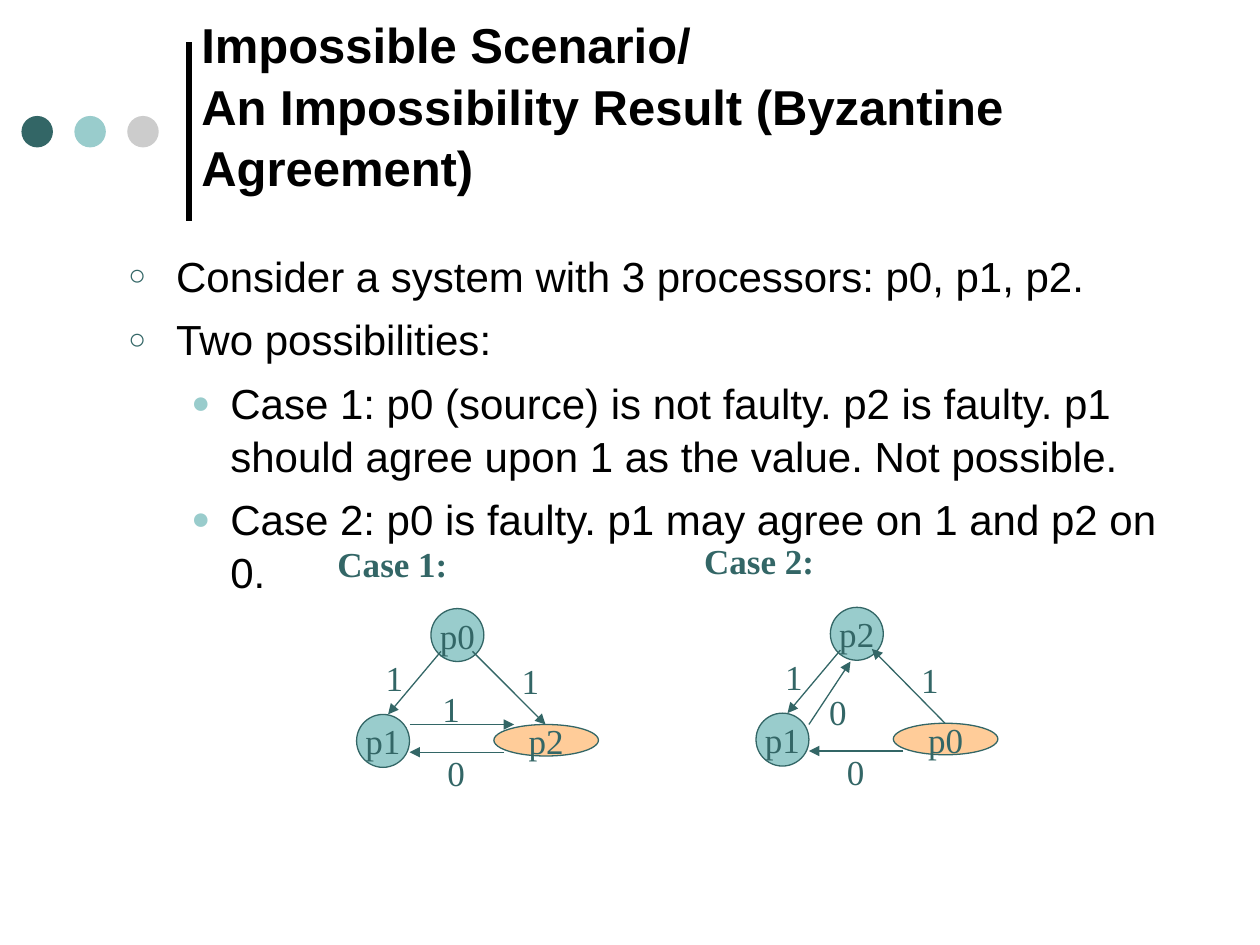
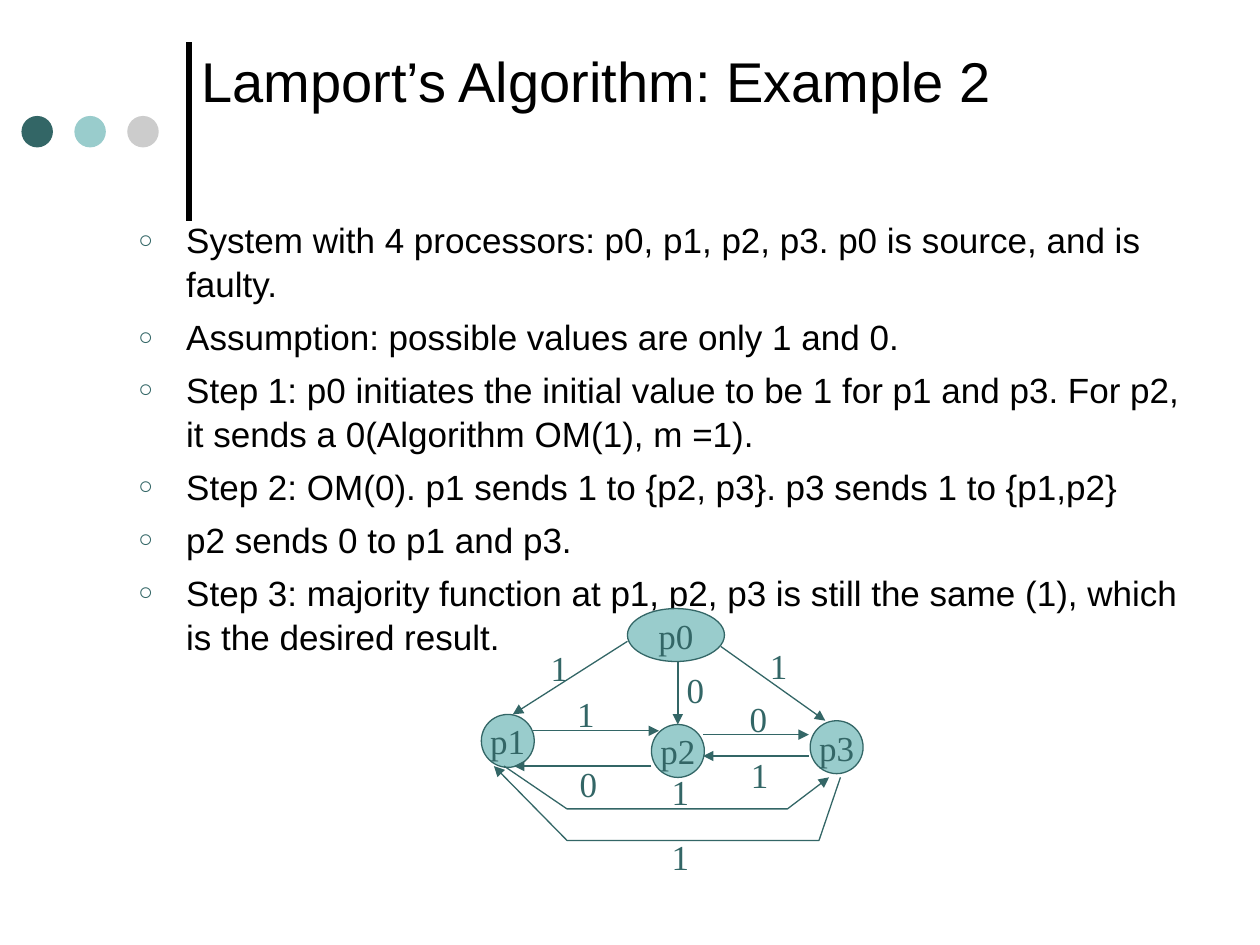
"""Build two slides on Byzantine agreement with message diagrams."""
from lxml import etree
from pptx import Presentation
from pptx import util as u
from pptx.dml.color import RGBColor
from pptx.enum import shapes, text
from pptx.oxml import ns

DARK_TEAL = RGBColor(0x33, 0x66, 0x66)
LIGHT_TEAL = RGBColor(0x99, 0xCC, 0xCC)
GRAY = RGBColor(0xCC, 0xCC, 0xCC)
PEACH = RGBColor(0xFF, 0xCC, 0x99)
BLACK = RGBColor(0, 0, 0)
SANS, SERIF = "Arial", "Times New Roman"
LINE_SPACING = 1.05
NODE = 0.42
BULLETS = [("○", DARK_TEAL, 70, 0.38, 0.38), ("●", LIGHT_TEAL, 75, 0.81, 0.31)]


def add_label(slide, words, left, top, width=0.34, height=0.44, fill=None, bold=False):
    """Write centred words, in an ellipse when a fill is given."""
    box = [u.Inches(n) for n in (left, top, width, height)]
    if fill is None:
        label = slide.shapes.add_textbox(*box)
    else:
        label = slide.shapes.add_shape(shapes.MSO_SHAPE.OVAL, *box)
        label.shadow.inherit = False
        label.fill.solid()
        label.fill.fore_color.rgb = fill
        label.line.color.rgb = DARK_TEAL
        label.line.width = u.Pt(0.75)
    frame = label.text_frame
    frame.word_wrap = False
    frame.vertical_anchor = text.MSO_ANCHOR.MIDDLE
    frame.text = words
    line = frame.paragraphs[0]
    line.alignment = text.PP_ALIGN.CENTER
    font = line.runs[0].font
    font.name, font.size, font.bold = SERIF, u.Pt(20), bold
    font.color.rgb = DARK_TEAL


def add_message(slide, *stops):
    """Draw an arrow through the stops, its head at the last one."""
    points = [(u.Inches(x), u.Inches(y)) for x, y in stops]
    if len(points) == 2:
        arrow = slide.shapes.add_connector(shapes.MSO_CONNECTOR.STRAIGHT, *points[0], *points[1])
    else:
        outline = slide.shapes.build_freeform(*points[0])
        outline.add_line_segments(points[1:], close=False)
        arrow = outline.convert_to_shape()
        arrow.fill.background()
    arrow.line.color.rgb = DARK_TEAL
    arrow.line.width = u.Pt(0.75)
    properties = arrow.element.spPr
    etree.SubElement(properties.find(ns.qn("a:ln")), ns.qn("a:tailEnd"), type="triangle")
    etree.SubElement(properties, ns.qn("a:effectLst"))


deck = Presentation()
deck.slide_width, deck.slide_height = u.Inches(10), u.Inches(7.5)

outlines = [
    {
        "title": "Impossible Scenario/\vAn Impossibility Result (Byzantine Agreement)",
        "title_top": 0.2, "title_size": 28, "bold": True,
        "body_at": (0.92, 1.92), "body_size": 24, "gap": 6,
        "points": [
            (0, "Consider a system with 3 processors: p0, p1, p2."),
            (0, "Two possibilities:"),
            (1, "Case 1: p0 (source) is not faulty. p2 is faulty. p1 should agree upon 1 "
                "as the value. Not possible."),
            (1, "Case 2: p0 is faulty. p1 may agree on 1 and p2 on 0."),
        ],
    },
    {
        "title": "Lamport’s Algorithm: Example 2",
        "title_top": 0, "title_size": 32, "bold": False,
        "body_at": (1, 1.67), "body_size": 20, "gap": 5,
        "points": [
            (0, "System with 4 processors: p0, p1, p2, p3. p0 is source, and is faulty."),
            (0, "Assumption: possible values are only 1 and 0."),
            (0, "Step 1: p0 initiates the initial value to be 1 for p1 and p3. For p2, "
                "it sends a 0(Algorithm OM(1), m =1)."),
            (0, "Step 2: OM(0). p1 sends 1 to {p2, p3}. p3 sends 1 to {p1,p2}"),
            (0, "p2 sends 0 to p1 and p3."),
            (0, "Step 3: majority function at p1, p2, p3 is still the same (1), which is "
                "the desired result."),
        ],
    },
]

for outline in outlines:
    slide = deck.slides.add_slide(deck.slide_layouts[6])

    rule = slide.shapes.add_connector(
        shapes.MSO_CONNECTOR.STRAIGHT, u.Inches(1.5), u.Inches(1.75), u.Inches(1.5), u.Inches(0.33))
    rule.line.color.rgb = BLACK
    rule.line.width = u.Pt(3)
    etree.SubElement(rule.element.spPr, ns.qn("a:effectLst"))
    for i, color in enumerate((DARK_TEAL, LIGHT_TEAL, GRAY)):
        dot = slide.shapes.add_shape(
            shapes.MSO_SHAPE.OVAL, u.Inches(0.17 + 0.42 * i), u.Inches(0.92), u.Inches(0.25), u.Inches(0.25))
        dot.shadow.inherit = False
        dot.fill.solid()
        dot.fill.fore_color.rgb = color
        dot.line.fill.background()

    title = slide.shapes.add_textbox(
        u.Inches(1.5), u.Inches(outline["title_top"]), u.Inches(8.5), u.Inches(1.25)).text_frame
    title.word_wrap = True
    title.vertical_anchor = text.MSO_ANCHOR.MIDDLE
    title.text = outline["title"]
    title.paragraphs[0].line_spacing = LINE_SPACING
    for run in title.paragraphs[0].runs:
        run.font.name, run.font.size = SANS, u.Pt(outline["title_size"])
        run.font.bold = outline["bold"]
        run.font.color.rgb = BLACK

    left, top = outline["body_at"]
    body = slide.shapes.add_textbox(
        u.Inches(left), u.Inches(top), u.Inches(8.5), u.Inches(4.5)).text_frame
    body.word_wrap = True
    body.text = "\n".join(words for _, words in outline["points"])
    for i, (point, (level, _)) in enumerate(zip(body.paragraphs, outline["points"])):
        mark, color, percent, margin, hang = BULLETS[level]
        point.level = level
        point.line_spacing = LINE_SPACING
        point.space_before = u.Pt(outline["gap"] if i else 0)
        layout = point._p.get_or_add_pPr()
        layout.set("marL", str(u.Inches(margin)))
        layout.set("indent", str(-u.Inches(hang)))
        bullet_color = etree.SubElement(layout, ns.qn("a:buClr"))
        etree.SubElement(bullet_color, ns.qn("a:srgbClr"), val=str(color))
        etree.SubElement(layout, ns.qn("a:buSzPct"), val=str(percent * 1000))
        etree.SubElement(layout, ns.qn("a:buFont"), typeface=SANS)
        etree.SubElement(layout, ns.qn("a:buChar"), char=mark)
        font = point.runs[0].font
        font.name, font.size = SANS, u.Pt(outline["body_size"])
        font.color.rgb = BLACK

scenario, example = deck.slides

for dx, dy, top_name, faulty_name in ((0, 0, "p0", "p2"), (3.17, -0.01, "p2", "p0")):
    add_label(scenario, top_name, 3.42 + dx, 4.83 + dy, NODE, NODE, LIGHT_TEAL)
    add_label(scenario, "p1", 2.83 + dx, 5.67 + dy, NODE, NODE, LIGHT_TEAL)
    add_label(scenario, faulty_name, 3.92 + dx, 5.75 + dy, 0.83, 0.25, PEACH)
    add_message(scenario, (3.5 + dx, 5.17 + dy), (3.08 + dx, 5.67 + dy))
    add_message(scenario, (4 + dx, 5.97 + dy), (3.25 + dx, 5.97 + dy))
    for value, x, y in (("1", 2.96, 5.16), ("1", 4.04, 5.18), ("0", 3.45, 5.91)):
        add_label(scenario, value, x + dx, y + dy)

add_message(scenario, (3.75, 5.17), (4.33, 5.75))
add_message(scenario, (3.25, 5.75), (4.08, 5.75))
add_label(scenario, "1", 3.41, 5.4)
add_label(scenario, "Case 1:", 2.58, 4.25, 1.07, bold=True)
add_message(scenario, (7.5, 5.74), (6.92, 5.15))
add_message(scenario, (6.42, 5.75), (6.75, 5.25))
add_label(scenario, "0", 6.48, 5.43)
add_label(scenario, "Case 2:", 5.49, 4.23, 1.07, bold=True)

processors = [("p0", 4.98, 4.83, 0.77), ("p1", 3.82, 5.67, NODE),
              ("p2", 5.17, 5.75, NODE), ("p3", 6.43, 5.72, NODE)]
for name, x, y, width in processors:
    add_label(example, name, x, y, width, NODE, LIGHT_TEAL)

messages = [
    ("1", (4.27, 5.08), [(4.98, 5.09), (4.07, 5.67)]),
    ("0", (5.35, 5.25), [(5.38, 5.25), (5.38, 5.75)]),
    ("1", (6.01, 5.06), [(5.72, 5.13), (6.55, 5.72)]),
    ("1", (4.48, 5.44), [(4.23, 5.8), (5.23, 5.8)]),
    ("0", (4.5, 6), [(5.17, 6.08), (4.08, 6.08)]),
    ("0", (5.85, 5.48), [(5.58, 5.83), (6.42, 5.83)]),
    ("1", (5.86, 5.93), [(6.42, 6), (5.58, 6)]),
    ("1", (5.23, 6.06), [(4, 6.08), (4.5, 6.42), (6.25, 6.42), (6.58, 6.17)]),
    ("1", (5.23, 6.58), [(6.67, 6.17), (6.5, 6.67), (4.5, 6.67), (3.92, 6.08)]),
]
for value, (x, y), stops in messages:
    add_message(example, *stops)
    add_label(example, value, x, y)

deck.save("out.pptx")
